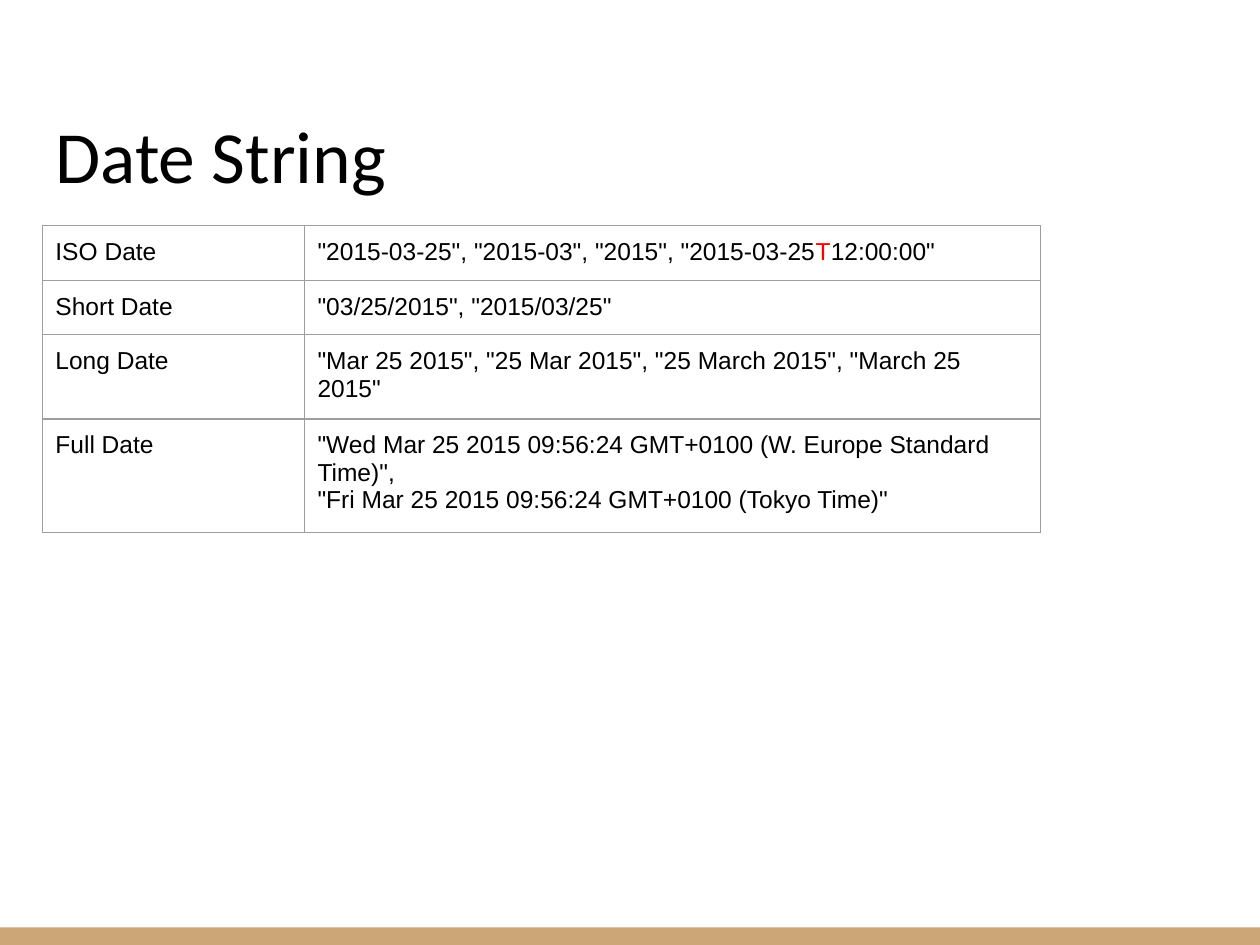
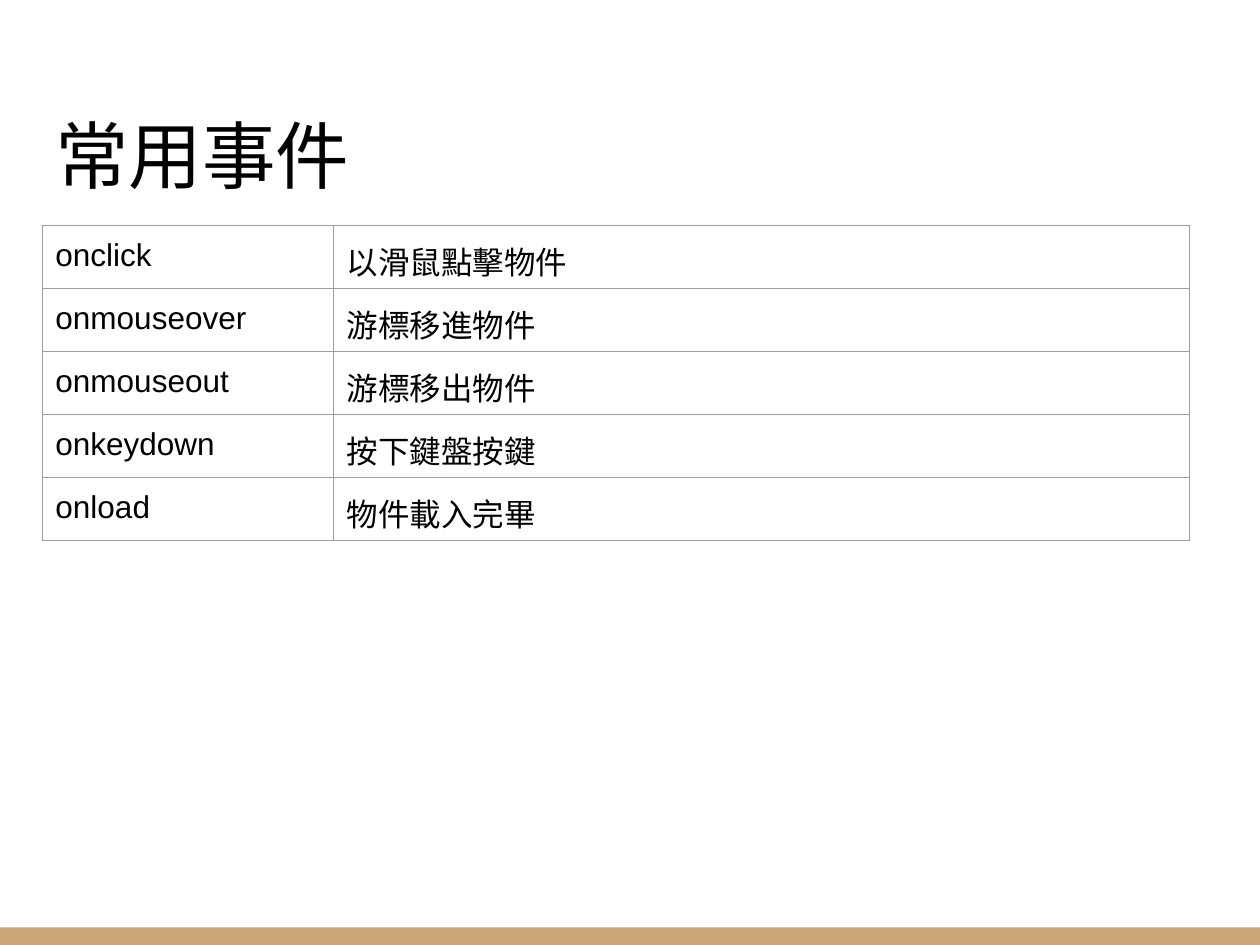
from lxml.etree import SubElement
from pptx import Presentation
from pptx.dml.color import RGBColor
from pptx.enum.shapes import MSO_SHAPE as Shape
from pptx.enum.text import MSO_ANCHOR as Anchor
from pptx.oxml import parse_xml
from pptx.oxml.ns import nsdecls, qn
from pptx.util import Inches, Pt

BLACK = RGBColor(0x00, 0x00, 0x00)
RED = RGBColor(0xFF, 0x00, 0x00)
TAN = RGBColor(0xCC, 0xA6, 0x77)
GREY = RGBColor(0x9E, 0x9E, 0x9E)

PAGES = [
    {
        "title": "Date String",
        "size": 14,
        "columns": (2.08, 5.84),
        "rows": [
            ("ISO Date", [('"2015-03-25", "2015-03", "2015", "2015-03-25', BLACK),
                          ("T", RED), ('12:00:00"', BLACK)]),
            ("Short Date", '"03/25/2015", "2015/03/25"'),
            ("Long Date", '"Mar 25 2015", "25 Mar 2015", "25 March 2015", "March 25 2015"'),
            ("Full Date", '"Wed Mar 25 2015 09:56:24 GMT+0100 (W. Europe Standard Time)",\n'
                          '"Fri Mar 25 2015 09:56:24 GMT+0100 (Tokyo Time)"'),
        ],
    },
    {
        "title": "常用事件",
        "size": 18,
        "columns": (2.31, 6.79),
        "rows": [
            ("onclick", "以滑鼠點擊物件"),
            ("onmouseover", "游標移進物件"),
            ("onmouseout", "游標移出物件"),
            ("onkeydown", "按下鍵盤按鍵"),
            ("onload", "物件載入完畢"),
        ],
    },
]

WIDTH, HEIGHT = 10, 7.5
MARGIN = 0.34
BAND_HEIGHT = 0.14
TITLE_TOP, TITLE_HEIGHT = 0.46, 1.21
TABLE_TOP, ROW_HEIGHT = 1.79, 0.42
INSET = Inches(0.1)


def set_insets(target):
    target.margin_left = target.margin_right = INSET
    target.margin_top = target.margin_bottom = INSET


def add_span(para, text, font_name, size, colour=BLACK):
    span = para.add_run()
    span.text = text
    span.font.name = font_name
    span.font.size = Pt(size)
    span.font.color.rgb = colour


def add_band(page):
    band = page.shapes.add_shape(Shape.RECTANGLE, 0, Inches(HEIGHT - BAND_HEIGHT),
                                 Inches(WIDTH), Inches(BAND_HEIGHT))
    band.shadow.inherit = False
    band.fill.solid()
    band.fill.fore_color.rgb = TAN
    band.line.fill.background()


def add_title(page, text):
    box = page.shapes.add_textbox(Inches(MARGIN), Inches(TITLE_TOP),
                                  Inches(WIDTH - 2 * MARGIN), Inches(TITLE_HEIGHT))
    frame = box.text_frame
    frame.word_wrap = True
    frame.vertical_anchor = Anchor.BOTTOM
    set_insets(frame)
    add_span(frame.paragraphs[0], text, "Calibri", 42)


def set_borders(cell):
    properties = cell._tc.get_or_add_tcPr()
    for place, side in enumerate(("lnL", "lnR", "lnT", "lnB")):
        border = parse_xml(f'<a:{side} {nsdecls("a")} w="{Pt(0.75)}"/>')
        fill = SubElement(border, qn("a:solidFill"))
        SubElement(fill, qn("a:srgbClr"), val=str(GREY))
        properties.insert(place, border)


def fill_cell(cell, content, size):
    set_insets(cell)
    cell.fill.background()
    set_borders(cell)
    para = cell.text_frame.paragraphs[0]
    spans = [(content, BLACK)] if isinstance(content, str) else content
    for text, colour in spans:
        for number, line in enumerate(text.split("\n")):
            if number:
                para.add_line_break()
            add_span(para, line, "Arial", size, colour)


def add_grid(page, columns, rows, size):
    frame = page.shapes.add_table(len(rows), len(columns), Inches(MARGIN), Inches(TABLE_TOP),
                                  Inches(sum(columns)), Inches(ROW_HEIGHT * len(rows)))
    table = frame.table
    table.first_row = table.horz_banding = False
    for column, width in zip(table.columns, columns):
        column.width = Inches(width)
    for row, contents in zip(table.rows, rows):
        row.height = Inches(ROW_HEIGHT)
        for cell, content in zip(row.cells, contents):
            fill_cell(cell, content, size)


def main():
    deck = Presentation()
    deck.slide_width, deck.slide_height = Inches(WIDTH), Inches(HEIGHT)
    for content in PAGES:
        page = deck.slides.add_slide(deck.slide_layouts[6])
        add_band(page)
        add_title(page, content["title"])
        add_grid(page, content["columns"], content["rows"], content["size"])
    deck.save("out.pptx")


if __name__ == "__main__":
    main()
